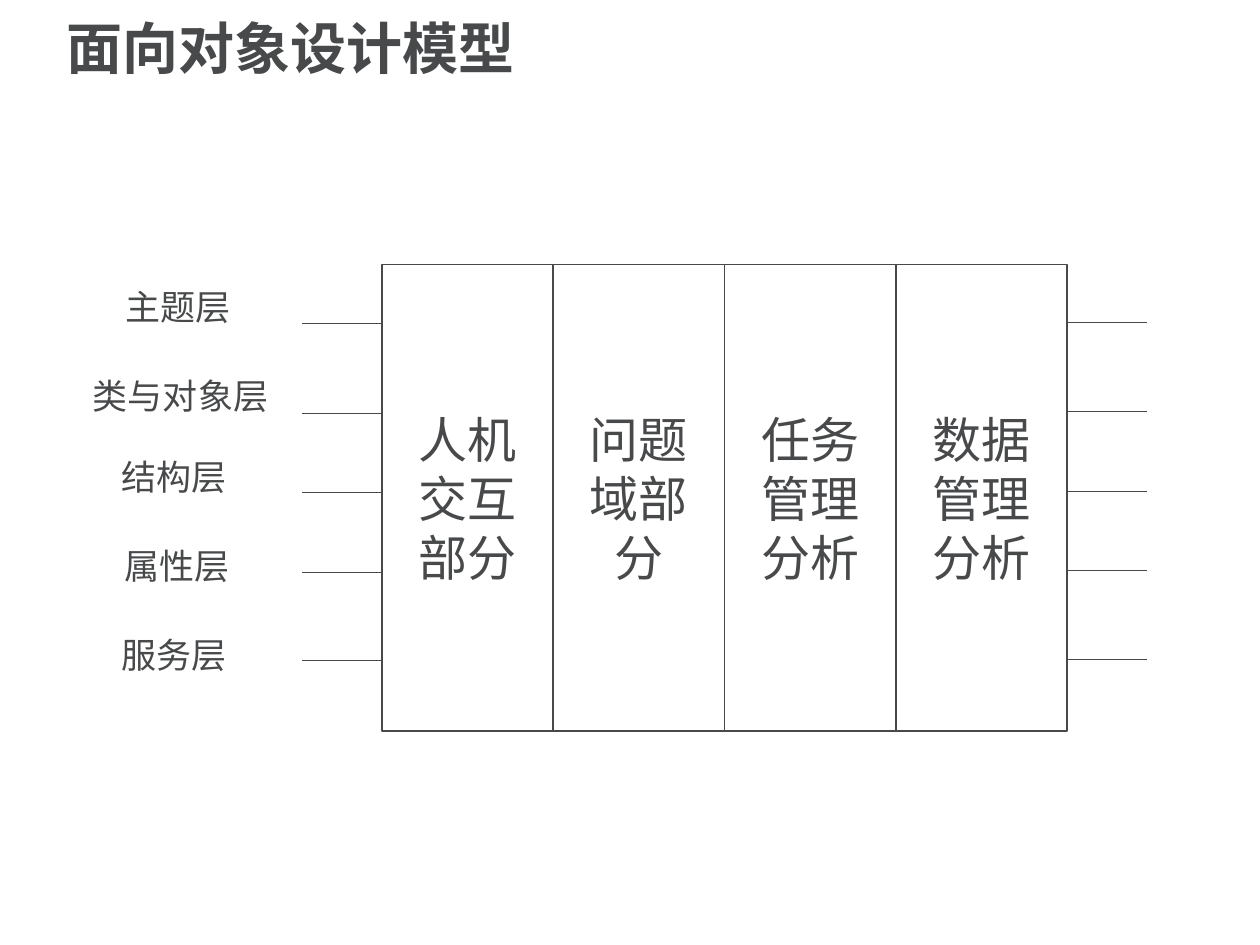
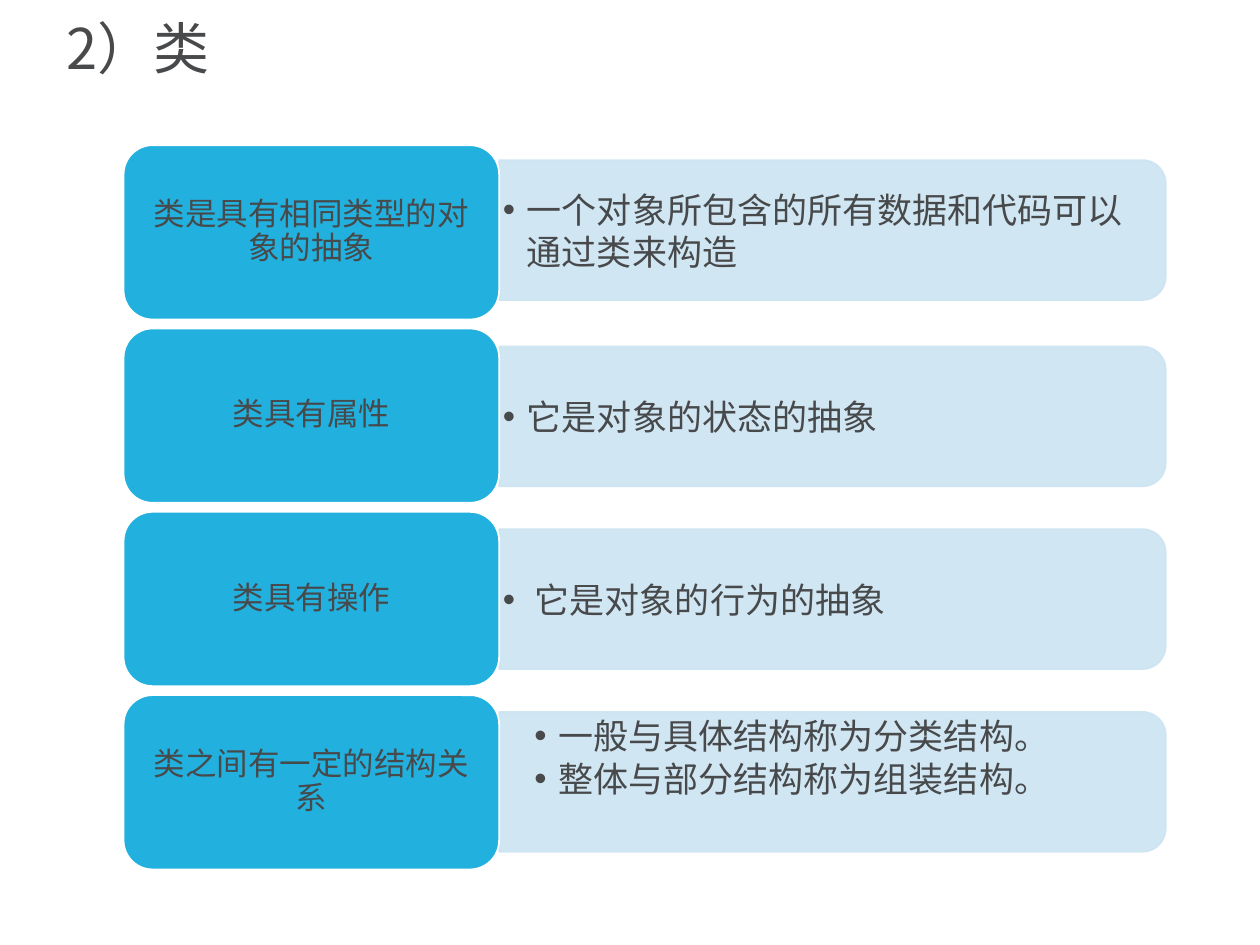
"""Build two slides: the object-oriented design model, and what a class is."""
from lxml.etree import SubElement
from pptx import Presentation
from pptx.dml.color import RGBColor
from pptx.enum.lang import MSO_LANGUAGE_ID as Language
from pptx.enum.shapes import MSO_CONNECTOR as Connector, MSO_SHAPE as Preset
from pptx.enum.text import MSO_ANCHOR as Anchor, PP_ALIGN as Align
from pptx.oxml.ns import qn
from pptx.util import Pt

INK, WHITE, CARD_BLUE, PANEL_BLUE = "47494B", "FFFFFF", "22B1DE", "CDE4F2"
BODY_FONT, LABEL_FONT, TITLE_FONT = "Calibri", "Arial", "Noto Sans CJK SC"

PARTS = ["人机交互部分", "问题域部分", "任务管理分析", "数据管理分析"]
PARTS_LEFT, PARTS_TOP, PART_WIDTH, PART_HEIGHT = 218.2, 151.2, 97.9, 266.4
TICK_LENGTH = 45.4

# Each layer: name, label left, label top, label width, height of its line.
LAYERS = [
    ("主题层", 64.8, 152.6, 84.2, 185),
    ("类与对象层", 46, 203, 123.8, 236),
    ("结构层", 62.6, 249.8, 91.4, 281.5),
    ("属性层", 64, 300.2, 88.6, 327),
    ("服务层", 62.6, 351.4, 105, 377.5),
]

# Each row: card text, panel top, bullets.
CLASS_ROWS = [
    ("类是具有相同类型的对象的抽象", 91.5, ["一个对象所包含的所有数据和代码可以通过类来构造"]),
    ("类具有属性", 198, ["它是对象的状态的抽象"]),
    ("类具有操作", 302.4, [" 它是对象的行为的抽象"]),
    ("类之间有一定的结构关系", 406.8, ["一般与具体结构称为分类结构。", "整体与部分结构称为组装结构。"]),
]
CARD_LEFT, CARD_TOP, CARD_WIDTH, CARD_HEIGHT, CARD_PITCH = 70.6, 83, 214.6, 99.6, 104.75
PANEL_LEFT, PANEL_WIDTH, PANEL_HEIGHT = 285.2, 380.9, 79.9


def color(hex_text):
    """Turn a hex string into a colour."""
    return RGBColor.from_string(hex_text)


def add_run(paragraph, text, size, font, bold=False):
    """Add one run, with the same typeface for Latin and Chinese."""
    run = paragraph.add_run()
    run.text = text
    run.font.size = Pt(size)
    run.font.name = font
    run.font.bold = bold
    run.font.color.rgb = color(INK)
    run.font.language_id = Language.SIMPLIFIED_CHINESE
    SubElement(run._r.get_or_add_rPr(), qn("a:ea"), typeface=font)


def set_frame(shape, anchor=Anchor.MIDDLE, insets=(7.2, 3.6)):
    """Wrap, anchor and inset the text of a shape and return its frame."""
    frame = shape.text_frame
    frame.word_wrap = True
    frame.vertical_anchor = anchor
    frame.margin_left = frame.margin_right = Pt(insets[0])
    frame.margin_top = frame.margin_bottom = Pt(insets[1])
    return frame


def add_label(slide, text, box, size, font, spacing, anchor=Anchor.TOP, bold=False):
    """Add a text box holding one paragraph."""
    frame = set_frame(slide.shapes.add_textbox(*map(Pt, box)), anchor)
    paragraph = frame.paragraphs[0]
    paragraph.line_spacing = spacing
    add_run(paragraph, text, size, font, bold)


def add_title(slide, text, bold=False):
    """Add the slide title."""
    add_label(slide, text, (31, 4.3, 651.6, 50.4), 32, TITLE_FONT, 0.9, Anchor.MIDDLE, bold)


def add_block(slide, preset, box, fill, line):
    """Add a filled, outlined preset shape without shadow."""
    shape = slide.shapes.add_shape(preset, *map(Pt, box))
    shape.shadow.inherit = False
    shape.fill.solid()
    shape.fill.fore_color.rgb = color(fill)
    shape.line.color.rgb = color(line)
    shape.line.width = Pt(1)
    return shape


def fill_centered(shape, text, size, spacing=1.0, insets=(7.2, 3.6)):
    """Write one centred paragraph in a shape."""
    paragraph = set_frame(shape, insets=insets).paragraphs[0]
    paragraph.alignment = Align.CENTER
    paragraph.line_spacing = spacing
    add_run(paragraph, text, size, BODY_FONT)


def add_tick(slide, left, y):
    """Add a short thin horizontal line."""
    tick = slide.shapes.add_connector(
        Connector.STRAIGHT, Pt(left), Pt(y), Pt(left + TICK_LENGTH), Pt(y))
    tick.line.color.rgb = color(INK)
    tick.line.width = Pt(0.5)
    SubElement(tick._element.spPr, qn("a:effectLst"))


def add_panel(slide, top):
    """Add a translucent panel rounded on its right side."""
    left = PANEL_LEFT + (PANEL_WIDTH - PANEL_HEIGHT) / 2
    turned_top = top + (PANEL_HEIGHT - PANEL_WIDTH) / 2
    panel = add_block(slide, Preset.ROUND_2_SAME_RECTANGLE,
                      (left, turned_top, PANEL_HEIGHT, PANEL_WIDTH), PANEL_BLUE, PANEL_BLUE)
    panel.rotation = 90
    for paint in panel._element.spPr.iter(qn("a:srgbClr")):
        SubElement(paint, qn("a:alpha"), val="90000")


def add_bullets(slide, items, top):
    """Add the bulleted text over a panel; a list starts at the panel's top."""
    is_list = len(items) > 1
    box = slide.shapes.add_textbox(Pt(PANEL_LEFT), Pt(top), Pt(377.3), Pt(PANEL_HEIGHT))
    frame = set_frame(box, Anchor.TOP if is_list else Anchor.MIDDLE, (2.2, 4))
    for index, item in enumerate(items):
        paragraph = frame.add_paragraph() if index else frame.paragraphs[0]
        paragraph.line_spacing = 0.9 if is_list else 1.0
        paragraph.space_after = Pt(3 if is_list else 0)
        properties = paragraph._p.get_or_add_pPr()
        properties.set("marL", str(Pt(31.7 if is_list else 13.7)))
        properties.set("indent", str(-Pt(13.7)))
        SubElement(properties, qn("a:buFont"), typeface="Arial")
        SubElement(properties, qn("a:buChar"), char="•")
        add_run(paragraph, item, 20, BODY_FONT)


def build_model_slide(slide):
    """Draw the four parts crossed by the five layers."""
    add_title(slide, "面向对象设计模型", bold=True)
    for index, part in enumerate(PARTS):
        box = (PARTS_LEFT + index * PART_WIDTH, PARTS_TOP, PART_WIDTH, PART_HEIGHT)
        fill_centered(add_block(slide, Preset.RECTANGLE, box, WHITE, INK), part, 28)
    parts_right = PARTS_LEFT + len(PARTS) * PART_WIDTH
    for name, left, top, width, line_y in LAYERS:
        add_tick(slide, PARTS_LEFT - TICK_LENGTH, line_y)
        add_tick(slide, parts_right, line_y - 0.8)
        add_label(slide, name, (left, top, width, 38.9), 20, LABEL_FONT, 1.3)


def build_class_slide(slide):
    """Draw the rows that pair a card with its explanation."""
    add_title(slide, "2）类")
    for index, (heading, panel_top, items) in enumerate(CLASS_ROWS):
        add_panel(slide, panel_top)
        add_bullets(slide, items, panel_top)
        box = (CARD_LEFT, CARD_TOP + index * CARD_PITCH, CARD_WIDTH, CARD_HEIGHT)
        card = add_block(slide, Preset.ROUNDED_RECTANGLE, box, CARD_BLUE, WHITE)
        fill_centered(card, heading, 18, 0.9, (10, 7.2))


def main():
    """Build and save the presentation."""
    presentation = Presentation()
    presentation.slide_width, presentation.slide_height = Pt(720), Pt(540)
    blank = presentation.slide_layouts[6]
    for build in (build_model_slide, build_class_slide):
        build(presentation.slides.add_slide(blank))
    presentation.save("out.pptx")


if __name__ == "__main__":
    main()
